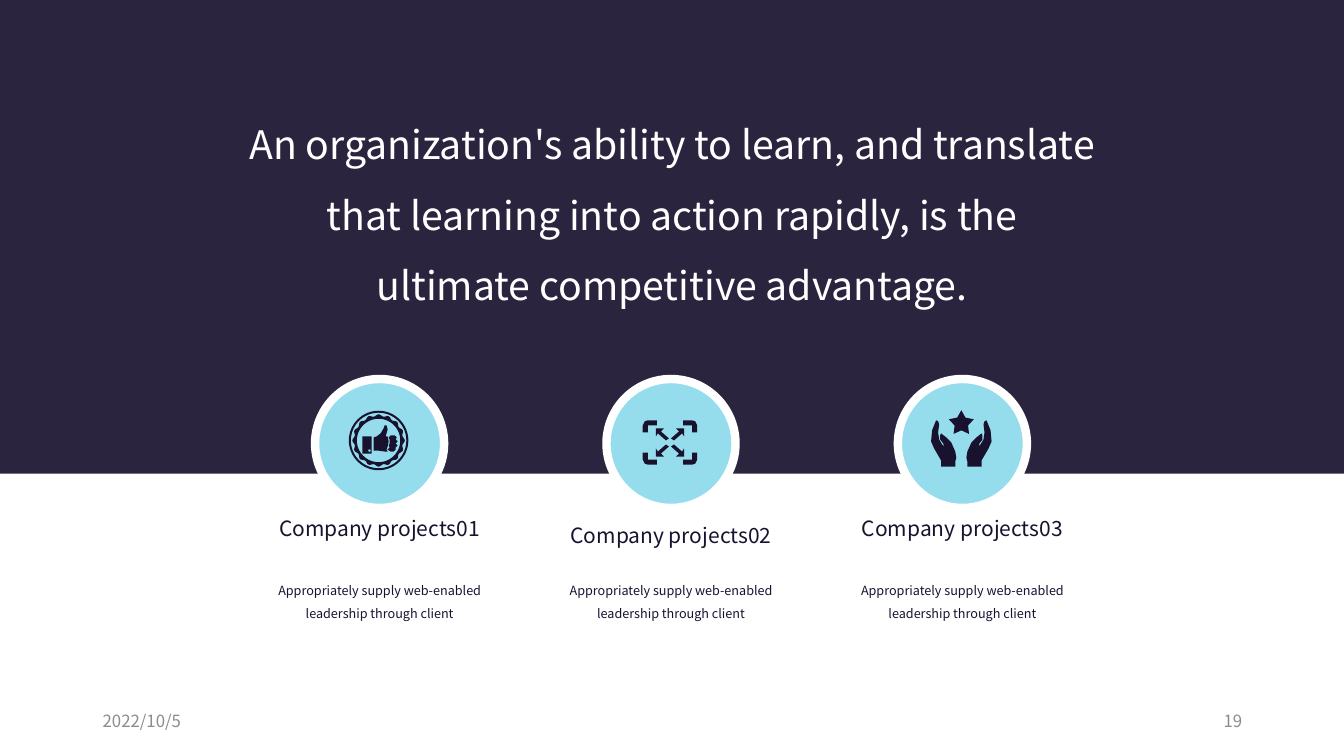
from math import cos, pi, sin

from lxml import etree
from pptx import Presentation
from pptx.dml.color import RGBColor
from pptx.enum.shapes import MSO_SHAPE
from pptx.enum.text import MSO_ANCHOR, PP_ALIGN
from pptx.oxml.ns import qn
from pptx.util import Inches, Pt

RECT, OVAL = MSO_SHAPE.RECTANGLE, MSO_SHAPE.OVAL
LEFT, CENTER, RIGHT = PP_ALIGN.LEFT, PP_ALIGN.CENTER, PP_ALIGN.RIGHT
TOP, MIDDLE = MSO_ANCHOR.TOP, MSO_ANCHOR.MIDDLE
NAVY = RGBColor(0x19, 0x12, 0x2F)
SKY = RGBColor(0x95, 0xDD, 0xEC)
WHITE = RGBColor(0xFF, 0xFF, 0xFF)
GRAY = RGBColor(0x8C, 0x8C, 0x8C)
FONT = "Noto Sans CJK SC"

QUOTE = ("An organization's ability to learn, and translate that learning "
         "into action rapidly, is the ultimate competitive advantage.")
BODY = "Appropriately supply web-enabled leadership through client"

CUFF = [(-.16, -.04), (-.07, -.04), (-.07, .13), (-.16, .13)]
THUMB = [(-.05, -.03), (-.02, -.04), (.02, -.07), (.05, -.12), (.06, -.15),
         (.08, -.15), (.09, -.11), (.07, -.04), (.09, -.04), (.1, .01),
         (.09, .06), (.08, .09), (.09, .11), (.06, .11), (-.01, .1), (-.05, .1)]
FINGERS = [(.12, -.05), (.16, -.05), (.18, -.03), (.17, -.01), (.19, .01),
           (.17, .03), (.19, .05), (.17, .07), (.17, .09), (.15, .11),
           (.12, .11), (.09, .09), (.11, .07), (.1, .05), (.11, .03),
           (.11, -.01), (.1, -.03)]
ARROW = [(.09, .11), (.01, .04), (.04, .02), (.12, .09), (.14, .06),
         (.14, .14), (.06, .14)]
BRACKET = [(.22, .17), (.13, .17), (.13, .22), (.22, .22), (.25, .21),
           (.27, .17), (.27, .1), (.22, .1)]
HAND = [(.06, .08), (.05, .14), (.06, .18), (.06, .23), (.2, .23), (.2, .17),
        (.27, .05), (.3, -.02), (.29, -.13), (.25, -.23), (.23, -.22),
        (.22, -.19), (.23, -.11), (.22, -.04), (.19, .01), (.17, .03),
        (.18, 0), (.21, -.04), (.21, -.08), (.2, -.1), (.15, -.06), (.1, -.01)]


def add_text(s, text, x, y, w, h, size, color, align=CENTER, anchor=TOP, spacing=1.0):
    """Add a wrapped one-paragraph text box."""
    tf = s.shapes.add_textbox(Inches(x), Inches(y), Inches(w), Inches(h)).text_frame
    tf.word_wrap = True
    tf.vertical_anchor = anchor
    p = tf.paragraphs[0]
    p.alignment, p.line_spacing = align, spacing
    r = p.add_run()
    r.text = text
    r.font.name, r.font.size, r.font.color.rgb = FONT, Pt(size), color


def add_filled(s, kind, x, y, w, h, color):
    """Add a flat preset shape without an outline."""
    sp = s.shapes.add_shape(kind, Inches(x), Inches(y), Inches(w), Inches(h))
    sp.shadow.inherit = False
    sp.fill.solid()
    sp.fill.fore_color.rgb = color
    sp.line.fill.background()
    return sp


def ring(radius, steps=64, wave=0.0, waves=16, cx=0.0, cy=0.0):
    """Return a circle outline, optionally with a scalloped edge."""
    pts = []
    for i in range(steps):
        a = 2 * pi * i / steps
        d = radius + wave * cos(waves * a)
        pts.append((cx + d * cos(a), cy + d * sin(a)))
    return pts


def mirror(pts, sx, sy=1):
    """Return points flipped by the given signs."""
    return [(sx * x, sy * y) for x, y in pts]


def badge():
    """Return the outlines of the thumbs-up badge."""
    return [ring(.295), ring(.275), ring(.25, steps=128, wave=.01), ring(.215),
            CUFF, ring(.013, steps=12, cx=-.09, cy=.1), THUMB, FINGERS]


def expand():
    """Return the outlines of the four arrows and corner brackets."""
    return [mirror(part, sx, sy) for part in (ARROW, BRACKET)
            for sx in (-1, 1) for sy in (-1, 1)]


def hands():
    """Return the outlines of two hands below a star."""
    star = []
    for i in range(10):
        d, a = (.07 if i % 2 else .13), pi * i / 5
        star.append((d * sin(a), -.2 - d * cos(a)))
    return [mirror(HAND, -1), HAND, star]


def add_icon(s, outlines, cx, cy):
    """Draw closed outlines as one freeform around a centre."""
    fb = None
    for outline in outlines:
        pts = [(Inches(cx + x), Inches(cy + y)) for x, y in outline]
        if fb is None:
            fb = s.shapes.build_freeform(*pts[0])
        else:
            fb.move_to(*pts[0])
        fb.add_line_segments(pts[1:], close=True)
    sp = fb.convert_to_shape()
    sp.shadow.inherit = False
    sp.fill.solid()
    sp.fill.fore_color.rgb = NAVY
    sp.line.fill.background()


def add_banner(s, x, y, w, h):
    """Place the dark band with the quotation."""
    band = add_filled(s, RECT, x, y, w, h, NAVY)
    clr = band.fill._xPr.find(".//" + qn("a:srgbClr"))
    etree.SubElement(clr, qn("a:alpha")).set("val", "92000")
    add_text(s, QUOTE, x + 2.34, y + .91, 8.65, 2.22, 28, WHITE, spacing=1.5)


def add_project(s, x, y, w, title, outlines, nudge, anchor, spacing):
    """Place one project column: disc, icon, title and body."""
    cx, d = x + w / 2, 1.28
    disc = add_filled(s, OVAL, cx - d / 2, y, d, d, SKY)
    disc.line.color.rgb, disc.line.width = WHITE, Pt(6)
    add_icon(s, outlines, cx - .01, y + d / 2 + nudge)
    add_text(s, title, x + .05, y + 1.33, w - .1, .43, 15, NAVY,
             anchor=anchor, spacing=spacing)
    add_text(s, BODY, x, y + 1.9, w, .53, 9, NAVY, spacing=1.5)


def add_footer(s, x, y, w, h):
    """Place the date and the page number at both ends."""
    add_text(s, "2022/10/5", x, y, 3, h, 12, GRAY, align=LEFT, anchor=MIDDLE)
    add_text(s, "19", x + w - 3, y, 3, h, 12, GRAY, align=RIGHT, anchor=MIDDLE)


def main():
    """Build and save the slide."""
    prs = Presentation()
    prs.slide_width, prs.slide_height = Inches(13.33), Inches(7.5)
    s = prs.slides.add_slide(prs.slide_layouts[6])
    add_banner(s, 0, 0, 13.33, 4.7)
    projects = [(badge(), -.03, TOP, .9), (expand(), -.01, MIDDLE, 1.0),
                (hands(), 0, TOP, .9)]
    for i, (outlines, nudge, anchor, spacing) in enumerate(projects):
        add_project(s, 2.38 + 2.89 * i, 3.76, 2.77, f"Company projects{i + 1:02}",
                    outlines, nudge, anchor, spacing)
    add_footer(s, .92, 6.95, 11.5, .4)
    prs.save("out.pptx")


if __name__ == "__main__":
    main()
